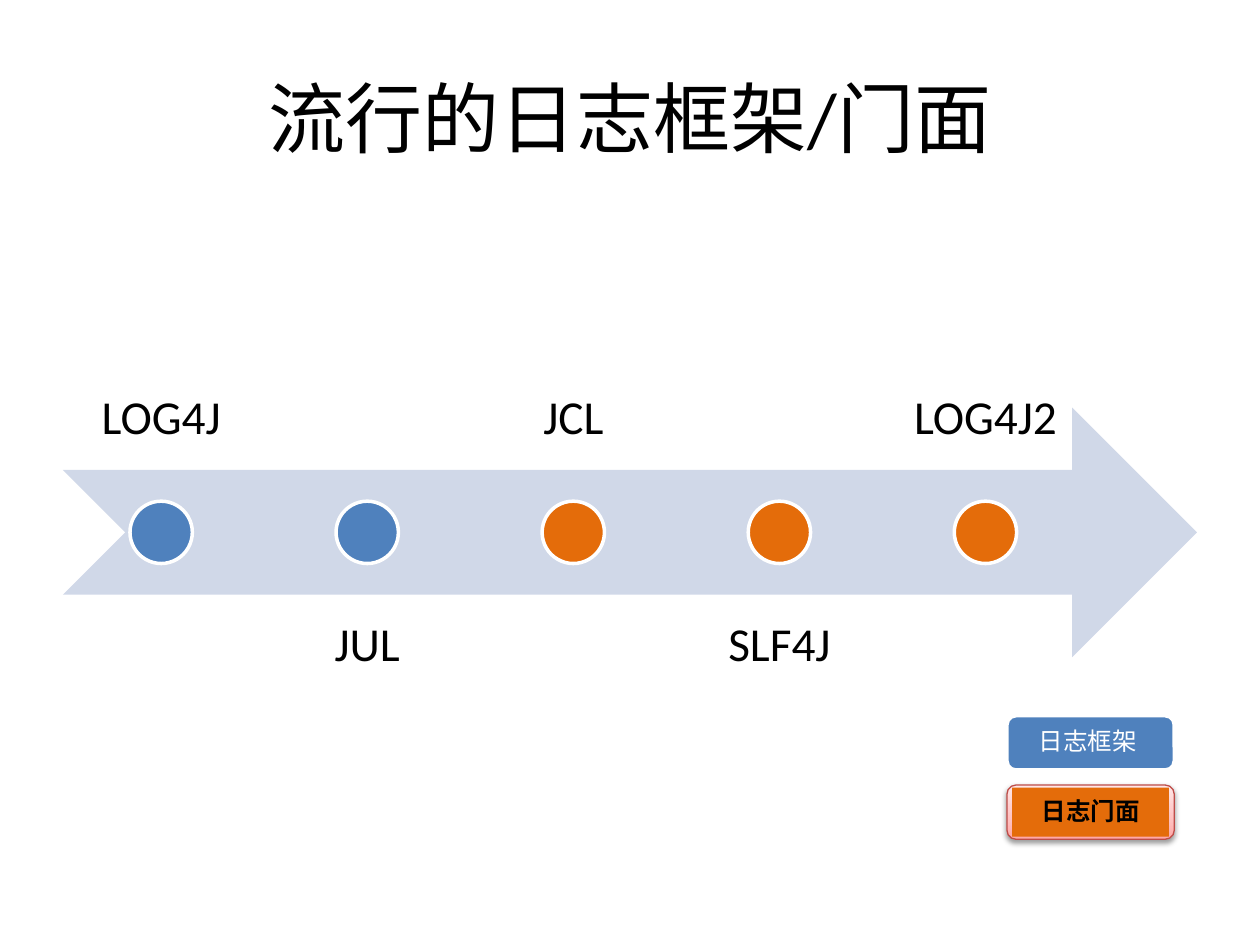
from lxml.etree import SubElement as Sub
from pptx import Presentation
from pptx.dml.color import RGBColor as Rgb
from pptx.enum.shapes import MSO_SHAPE as Form
from pptx.enum.text import MSO_ANCHOR as Anchor, PP_ALIGN as Align
from pptx.oxml.ns import qn
from pptx.util import Pt

BLUE, ORANGE, WHITE, BLACK = "4F81BD", "E46C0A", "FFFFFF", "000000"
STEPS = [("LOG4J", BLUE), ("JUL", BLUE), ("JCL", ORANGE),
         ("SLF4J", ORANGE), ("LOG4J2", ORANGE)]
PINKS = [(0, "FFA6A5"), (35, "FFC0BF"), (100, "FFE7E7")]


def paint(part, hue):
    """Give a fill or a line's fill one solid colour."""
    part.solid()
    part.fore_color.rgb = Rgb.from_string(hue)


def draw(slide, form, box, fill, line=None, width=2):
    """Add a preset shape without shadow, with an optional outline."""
    shape = slide.shapes.add_shape(form, *map(Pt, box))
    shape.shadow.inherit = False
    paint(shape.fill, fill)
    if line:
        paint(shape.line.fill, line)
        shape.line.width = Pt(width)
    else:
        shape.line.fill.background()
    return shape


def write(shape, text, size, hue=BLACK, bold=False, pad=(0, 0),
          anchor=Anchor.MIDDLE, space=0.9):
    """Write one centred paragraph into a shape or text box."""
    frame = shape.text_frame
    side, edge = map(Pt, pad)
    look = {"word_wrap": True, "vertical_anchor": anchor,
            "margin_left": side, "margin_right": side,
            "margin_top": edge, "margin_bottom": edge}
    for name, value in look.items():
        setattr(frame, name, value)
    para = frame.paragraphs[0]
    para.alignment, para.line_spacing = Align.CENTER, space
    run = para.add_run()
    for name, value in {"name": "Calibri", "size": Pt(size),
                        "bold": bold}.items():
        setattr(run.font, name, value)
    run.text = text
    paint(run.font.fill, hue)


def label(slide, box, *args, **look):
    """Add a text box and write into it."""
    write(slide.shapes.add_textbox(*map(Pt, box)), *args, **look)


def glow(shape, stops):
    """Give a shape an upward gradient and a soft drop shadow."""
    shape.fill.gradient()
    shape.fill.gradient_angle = 90
    props = shape.element.spPr
    ramp = props.find(qn("a:gradFill")).find(qn("a:gsLst"))
    for old in list(ramp):
        ramp.remove(old)
    for place, hue in stops:
        stop = Sub(ramp, qn("a:gs"), pos=str(place * 1000))
        Sub(stop, qn("a:srgbClr"), val=hue)
    shade = Sub(props.find(qn("a:effectLst")), qn("a:outerShdw"),
                blurRad=str(Pt(3.1)), dist=str(Pt(1.6)),
                dir="5400000", rotWithShape="0")
    tint = Sub(shade, qn("a:srgbClr"), val=BLACK)
    Sub(tint, qn("a:alpha"), val="38000")


def timeline(slide, box, steps):
    """Place an arrow with dots and labels that alternate above and below."""
    x, y, w, h = box
    tall, dot = 0.4 * h, 0.1 * h
    draw(slide, Form.NOTCHED_RIGHT_ARROW, (x, y + 0.3 * h, w, tall), "D0D8E8")
    wide = 0.9 * w / (len(steps) + 0.05 * (len(steps) - 1))
    for i, (name, hue) in enumerate(steps):
        left, low = x + i * 1.05 * wide, i % 2
        label(slide, (left, y + low * 0.6 * h, wide, tall), name, 27,
              pad=(15, 15), anchor=Anchor.TOP if low else Anchor.BOTTOM)
        draw(slide, Form.OVAL, (left + (wide - dot) / 2,
                                y + (h - dot) / 2, dot, dot), hue, WHITE)


def legend(slide, box):
    """Place the two keys: facade below, framework above."""
    x, y, w, h = box
    high = 31
    low = y + h - high
    frame = draw(slide, Form.ROUNDED_RECTANGLE, (x, low, w, high),
                 WHITE, "BF4C48", 0.75)
    glow(frame, PINKS)
    core = draw(slide, Form.RECTANGLE, (x + 3, low + 1.5, w - 6, high - 3),
                ORANGE)
    write(core, "日志门面", 14, bold=True, pad=(4.2, 4.2))
    draw(slide, Form.ROUNDED_RECTANGLE, (x, y, w, high), BLUE, WHITE)
    label(slide, (x, y + 1.5, w - 3, high - 3), "日志框架", 14, WHITE,
          pad=(4.2, 4.2))


def main():
    """Build and save the slide."""
    deck = Presentation()
    deck.slide_width, deck.slide_height = Pt(720), Pt(540)
    slide = deck.slides.add_slide(deck.slide_layouts[6])
    label(slide, (36, 21.6, 648, 90), "流行的日志框架/门面", 44,
          pad=(7.2, 3.6), space=1.0)
    timeline(slide, (36, 126, 648, 356.4), STEPS)
    legend(slide, (575.4, 409, 95.6, 70.6))
    deck.save("out.pptx")


main()
